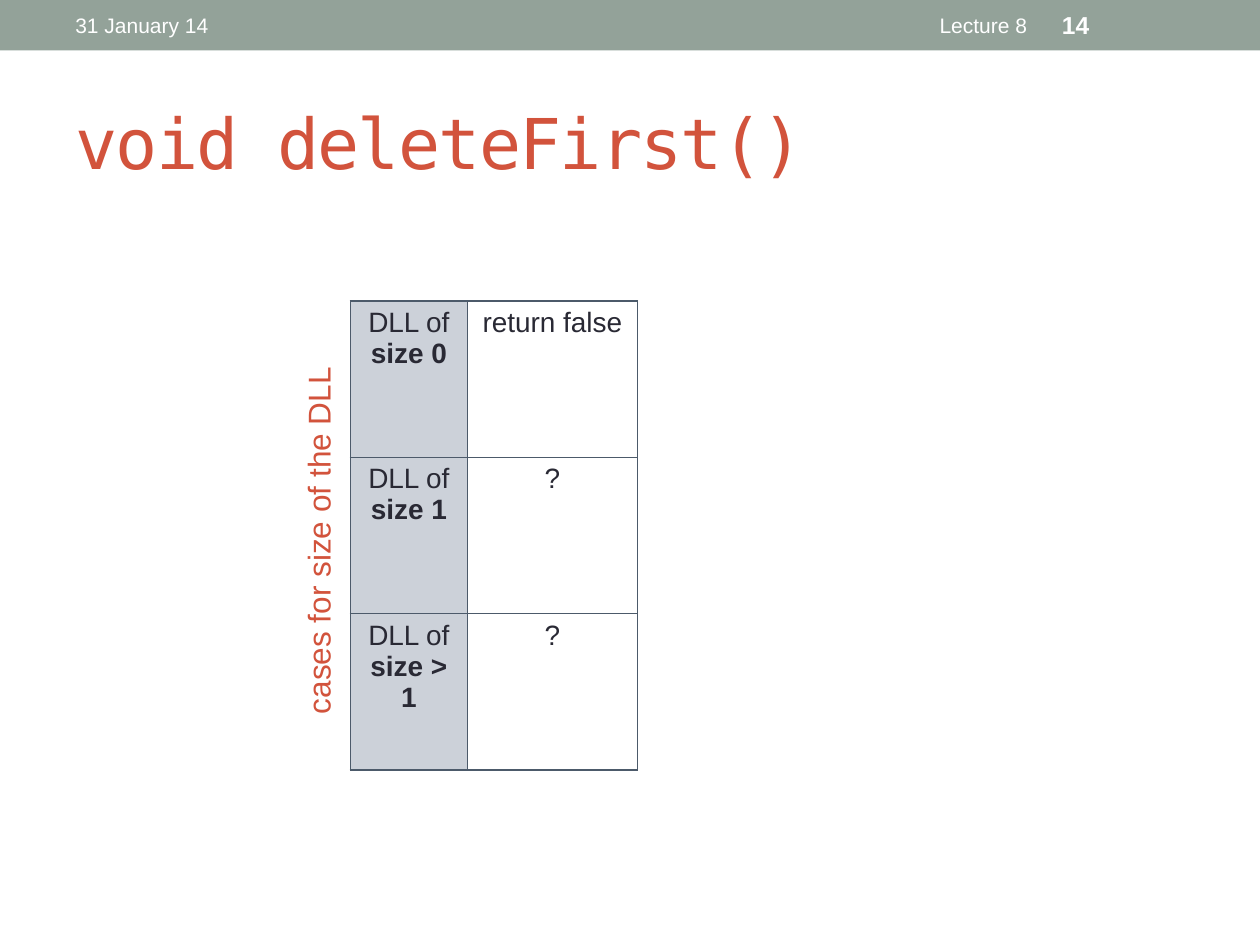
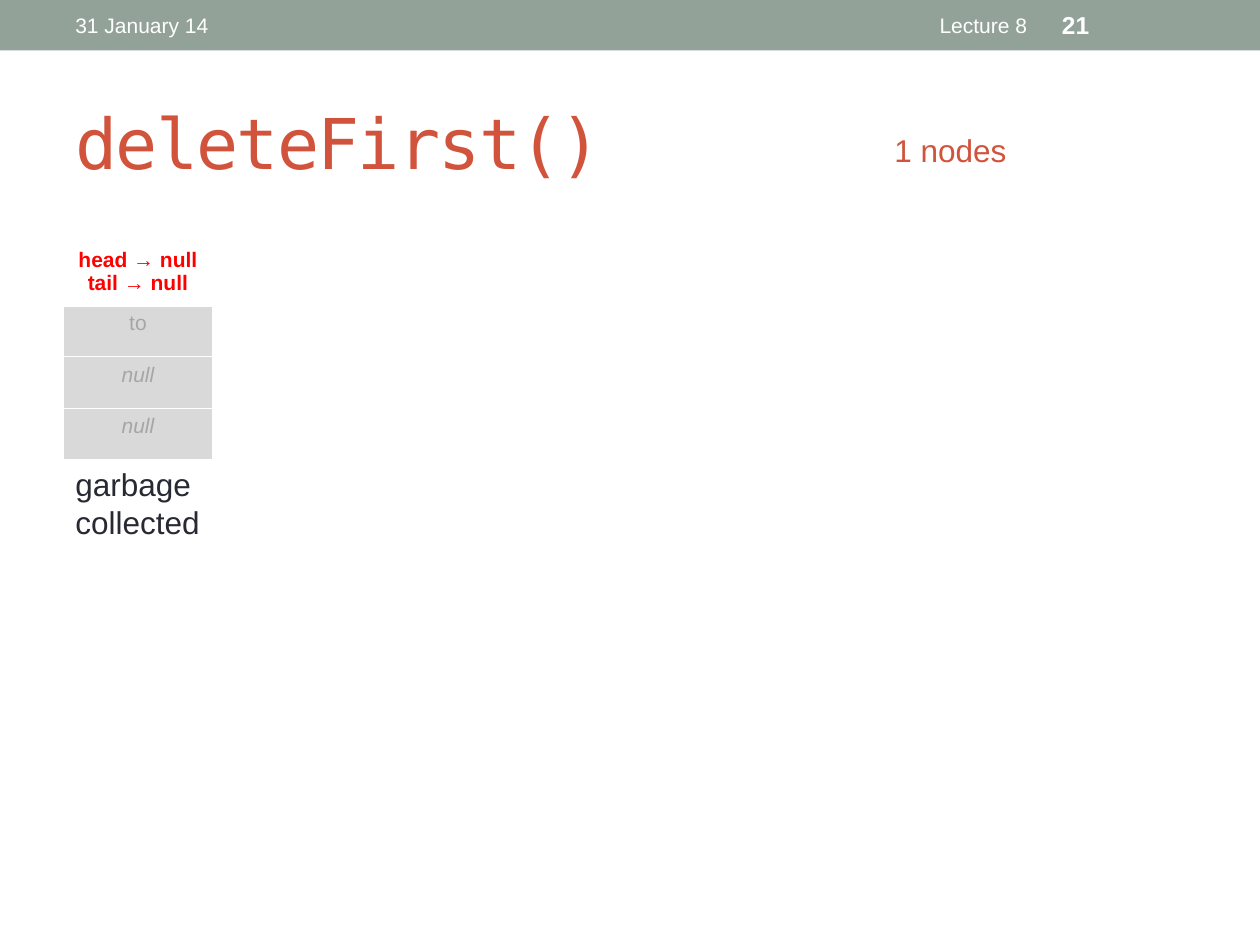
"""Build two lecture slides on deleting the first node of a doubly linked list."""

from dataclasses import dataclass, replace

from lxml.etree import SubElement
from pptx import Presentation
from pptx.dml.color import RGBColor
from pptx.enum.shapes import MSO_SHAPE
from pptx.enum.text import MSO_ANCHOR, PP_ALIGN
from pptx.oxml.ns import qn
from pptx.util import Inches, Pt

SAGE = RGBColor(0x93, 0xA2, 0x99)
RUST = RGBColor(0xD2, 0x53, 0x3C)
INK = RGBColor(0x29, 0x29, 0x34)
SLATE = RGBColor(0x4C, 0x5A, 0x6A)
MIST = RGBColor(0xCC, 0xD1, 0xD9)
RED = RGBColor(0xFF, 0x00, 0x00)
GREY = RGBColor(0xA6, 0xA6, 0xA6)
PALE_GREY = RGBColor(0xD9, 0xD9, 0xD9)
WHITE = RGBColor(0xFF, 0xFF, 0xFF)


@dataclass(frozen=True)
class Style:
    size: float
    color: RGBColor
    font: str = "Arial"
    bold: bool = False
    italic: bool = False
    spacing: float = 0


@dataclass(frozen=True)
class Span:
    text: str
    style: Style


@dataclass(frozen=True)
class Box:
    left: float
    top: float
    width: float
    height: float


@dataclass(frozen=True)
class Cell:
    paragraphs: tuple[tuple[Span, ...], ...] = ()
    fill: RGBColor = WHITE


TITLE = Style(40, RUST, "DejaVu Sans Mono", spacing=-1)
FOOTER = Style(12, WHITE)
NUMBER = Style(14, WHITE, bold=True)
LABEL = Style(18, RUST)
NOTE = Style(18, INK)
CASE = Style(16, INK)
CASE_SIZE = replace(CASE, bold=True)
POINTER = Style(12, RED, bold=True)
NODE = Style(12, GREY)
NODE_NULL = replace(NODE, italic=True)


def add_span(paragraph, span: Span) -> None:
    style = span.style
    run = paragraph.add_run()
    run.text = span.text
    run.font.name = style.font
    run.font.size = Pt(style.size)
    run.font.bold = style.bold
    run.font.italic = style.italic
    run.font.color.rgb = style.color
    if style.spacing:
        run._r.get_or_add_rPr().set("spc", str(int(style.spacing * 100)))


def add_text(slide, box: Box, text: str, style: Style, align=PP_ALIGN.LEFT,
             anchor=MSO_ANCHOR.TOP, wrap: bool = True, rotation: float = 0) -> None:
    shape = slide.shapes.add_textbox(Inches(box.left), Inches(box.top),
                                     Inches(box.width), Inches(box.height))
    shape.rotation = rotation
    frame = shape.text_frame
    frame.word_wrap = wrap
    frame.vertical_anchor = anchor
    paragraph = frame.paragraphs[0]
    paragraph.alignment = align
    add_span(paragraph, Span(text, style))


def set_borders(cell, color: RGBColor, top: float, bottom: float) -> None:
    properties = cell._tc.get_or_add_tcPr()
    for side, width in (("L", 1), ("R", 1), ("T", top), ("B", bottom)):
        line = SubElement(properties, qn(f"a:ln{side}"), w=str(Pt(width)))
        fill = SubElement(line, qn("a:solidFill"))
        SubElement(fill, qn("a:srgbClr"), val=str(color))


def add_grid(slide, left: float, top: float, columns: list[float], heights: list[float],
             rows: list[list[Cell]], border: RGBColor, header_rule: float = 1) -> None:
    table = slide.shapes.add_table(len(rows), len(columns), Inches(left), Inches(top),
                                   Inches(sum(columns)), Inches(sum(heights))).table
    table.first_row = table.horz_banding = False
    for column, width in zip(table.columns, columns):
        column.width = Inches(width)
    for row_index, (cells, height) in enumerate(zip(rows, heights)):
        table.rows[row_index].height = Inches(height)
        for column_index, content in enumerate(cells):
            cell = table.cell(row_index, column_index)
            set_borders(cell, border,
                        top=header_rule if row_index == 1 else 1,
                        bottom=header_rule if row_index == 0 else 1)
            cell.fill.solid()
            cell.fill.fore_color.rgb = content.fill
            frame = cell.text_frame
            for index, spans in enumerate(content.paragraphs):
                paragraph = frame.add_paragraph() if index else frame.paragraphs[0]
                paragraph.alignment = PP_ALIGN.CENTER
                for span in spans:
                    add_span(paragraph, span)


def add_lecture_slide(presentation, title: str, number: int):
    slide = presentation.slides.add_slide(presentation.slide_layouts[6])
    band = slide.shapes.add_shape(MSO_SHAPE.RECTANGLE, 0, 0,
                                  presentation.slide_width, Inches(0.4))
    band.shadow.inherit = False
    band.fill.solid()
    band.fill.fore_color.rgb = SAGE
    band.line.fill.background()
    middle = MSO_ANCHOR.MIDDLE
    add_text(slide, Box(0.5, 0.58, 9, 1.08), title, TITLE, anchor=middle)
    add_text(slide, Box(0.5, 0.02, 3.17, 0.36), "31 January 14", FOOTER, anchor=middle)
    add_text(slide, Box(3.75, 0.02, 4.5, 0.36), "Lecture 8", FOOTER,
             PP_ALIGN.RIGHT, middle)
    add_text(slide, Box(8.33, 0.02, 1.17, 0.36), str(number), NUMBER, anchor=middle)
    return slide


def build_cases_slide(presentation) -> None:
    slide = add_lecture_slide(presentation, "void deleteFirst()", 14)
    cases = [("size 0", "return false"), ("size 1", "?"), ("size > 1", "?")]
    rows = [
        [Cell(((Span("DLL of ", CASE), Span(size, CASE_SIZE)),), MIST),
         Cell(((Span(action, CASE),),))]
        for size, action in cases
    ]
    add_grid(slide, 2.78, 2.39, [0.93, 1.35], [1.24] * len(rows), rows, SLATE)
    add_text(slide, Box(1.04, 4.08, 2.97, 0.4), "cases for size of the DLL", LABEL,
             wrap=False, rotation=270)


def build_node_slide(presentation) -> None:
    slide = add_lecture_slide(presentation, "deleteFirst()", 21)
    columns = [1.19, 1.36, 0.23, 0.23] + [0.75] * 8
    pointers = Cell(tuple((Span(f"{name} → null", POINTER),) for name in ("head", "tail")))
    fields = [("to", NODE), ("null", NODE_NULL), ("null", NODE_NULL)]
    first_cells = [pointers] + [Cell(((Span(text, style),),), PALE_GREY)
                                for text, style in fields]
    rows = [[first] + [Cell()] * (len(columns) - 1) for first in first_cells]
    add_grid(slide, 0.5, 1.92, columns, [0.48] + [0.41] * len(fields), rows,
             WHITE, header_rule=3)
    add_text(slide, Box(7, 0.99, 1.1, 0.4), "1 nodes", LABEL, wrap=False)
    add_text(slide, Box(0.5, 3.64, 1.24, 0.71), "garbage collected", NOTE)


def main() -> None:
    presentation = Presentation()
    presentation.slide_width = Inches(10)
    presentation.slide_height = Inches(7.5)
    build_cases_slide(presentation)
    build_node_slide(presentation)
    presentation.save("out.pptx")


main()
